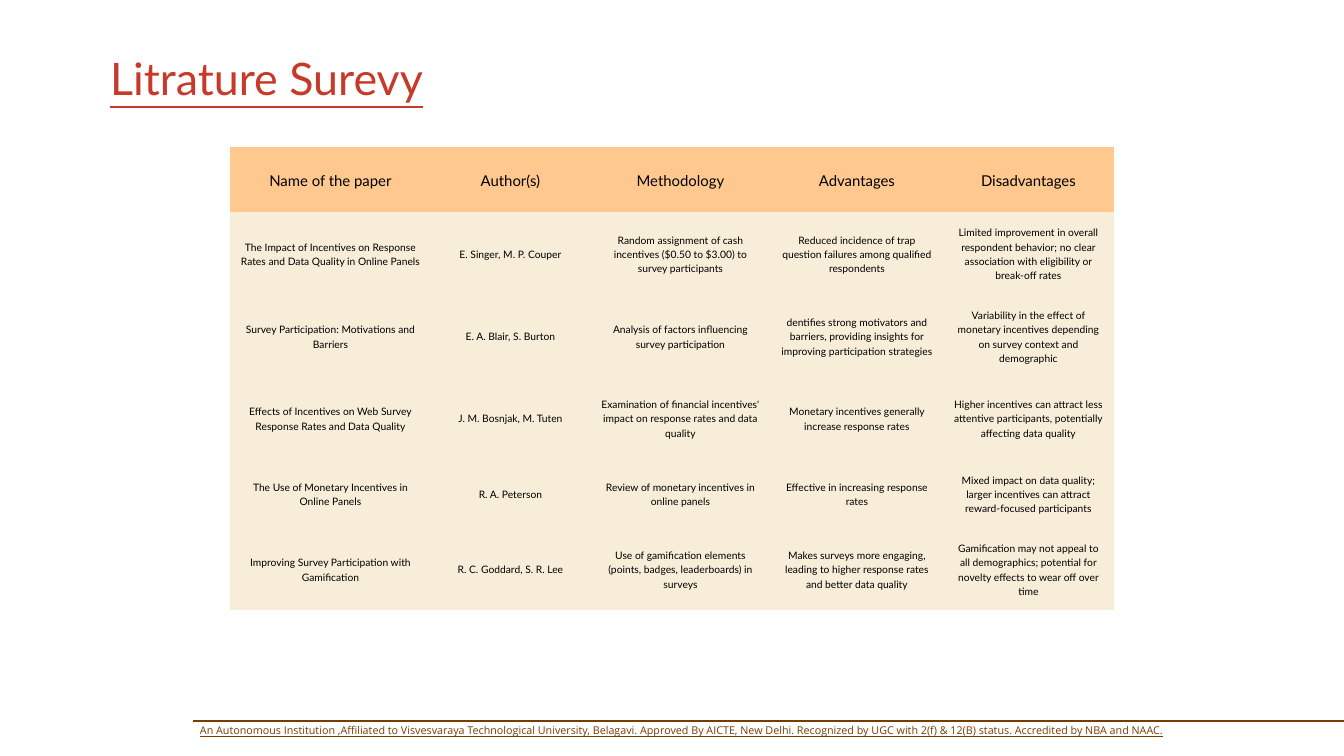
from pptx import Presentation
from pptx.dml.color import RGBColor
from pptx.enum.shapes import MSO_CONNECTOR
from pptx.enum.text import MSO_ANCHOR, PP_ALIGN
from pptx.oxml.ns import qn
from pptx.util import Pt
from lxml.etree import SubElement

BLACK = RGBColor(0x00, 0x00, 0x00)
RED = RGBColor(0xC7, 0x39, 0x28)
BROWN = RGBColor(0x76, 0x3C, 0x00)
PEACH = RGBColor(0xFF, 0xC8, 0x8F)
CREAM = RGBColor(0xF7, 0xED, 0xD8)
PLAIN = "{2D5ABB26-0587-4C30-8999-92F81FD0307C}"
SCALE = 914400 / 67.2

ROWS = [
    ("Name of the paper", "Author(s)", "Methodology", "Advantages", "Disadvantages"),
    ("The Impact of Incentives on Response Rates and Data Quality in Online Panels",
     "E. Singer, M. P. Couper",
     "Random assignment of cash incentives ($0.50 to $3.00) to survey participants",
     "Reduced incidence of trap question failures among qualified respondents",
     "Limited improvement in overall respondent behavior; no clear association with "
     "eligibility or break-off rates"),
    ("Survey Participation: Motivations and Barriers",
     "E. A. Blair, S. Burton",
     "Analysis of factors influencing survey participation",
     "dentifies strong motivators and barriers, providing insights for improving "
     "participation strategies",
     "Variability in the effect of monetary incentives depending on survey context "
     "and demographic"),
    ("Effects of Incentives on Web Survey Response Rates and Data Quality",
     "J. M. Bosnjak, M. Tuten",
     "Examination of financial incentives' impact on response rates and data quality",
     "Monetary incentives generally increase response rates",
     "Higher incentives can attract less attentive participants, potentially affecting "
     "data quality"),
    ("The Use of Monetary Incentives in Online Panels",
     "R. A. Peterson",
     "Review of monetary incentives in online panels",
     "Effective in increasing response rates",
     "Mixed impact on data quality; larger incentives can attract reward-focused "
     "participants"),
    ("Improving Survey Participation with Gamification",
     "R. C. Goddard, S. R. Lee",
     "Use of gamification elements (points, badges, leaderboards) in surveys",
     "Makes surveys more engaging, leading to higher response rates and better data quality",
     "Gamification may not appeal to all demographics; potential for novelty effects to "
     "wear off over time"),
]
WIDTHS = (201, 159, 181, 172, 171)
HEIGHTS = (65, 83, 82, 82, 69, 82)
TITLE = "Litrature Surevy"
FOOTER = (
    "An Autonomous Institution ,Affiliated to Visvesvaraya Technological University, "
    "Belagavi. Approved By AICTE, New Delhi. Recognized by UGC with 2(f) & 12(B) status. "
    "Accredited by NBA and NAAC."
)

HEAD = dict(name="Lato", size=Pt(16))
BODY = dict(name="Lato", size=Pt(11))
BIG = dict(name="Lato", size=Pt(48), underline=True)
SMALL = dict(name="Open Sans", size=Pt(11.5), underline=True)
CENTER = dict(alignment=PP_ALIGN.CENTER)
SIDES = ("margin_left", "margin_top", "margin_right", "margin_bottom")


def px(num):
    """Turn pixels into EMU."""
    return round(num * SCALE)


def apply(obj, vals):
    """Set each value as an attribute."""
    for key, val in vals.items():
        setattr(obj, key, val)


def write(frame, text, font, color, para):
    """Put one formatted paragraph in a text frame."""
    line = frame.paragraphs[0]
    apply(line, para)
    run = line.add_run()
    run.text = text
    apply(run.font, font)
    run.font.color.rgb = color


def add_text(slide, box, text, font, color, para):
    """Add a text box without margins."""
    frame = slide.shapes.add_textbox(*map(px, box)).text_frame
    apply(frame, dict.fromkeys(SIDES, 0) | dict(word_wrap=True))
    write(frame, text, font, color, para)


def add_grid(slide, left, top):
    """Add the table of papers."""
    box = (left, top, sum(WIDTHS), sum(HEIGHTS))
    table = slide.shapes.add_table(len(ROWS), len(WIDTHS), *map(px, box)).table
    apply(table, dict(first_row=False, horz_banding=False))
    table._tbl.tblPr.find(qn("a:tableStyleId")).text = PLAIN
    for col, wide in zip(table.columns, WIDTHS):
        col.width = px(wide)
    for i, (row, high, texts) in enumerate(zip(table.rows, HEIGHTS, ROWS)):
        row.height = px(high)
        font, fill, gap = (BODY, CREAM, 15.4) if i else (HEAD, PEACH, 22.4)
        for cell, text in zip(row.cells, texts):
            apply(cell, dict.fromkeys(SIDES, px(10)))
            cell.vertical_anchor = MSO_ANCHOR.MIDDLE
            cell.fill.solid()
            cell.fill.fore_color.rgb = fill
            write(cell.text_frame, text, font, BLACK, CENTER | dict(line_spacing=Pt(gap)))


def add_rule(slide, start, end, y):
    """Add the footer line."""
    rule = slide.shapes.add_connector(MSO_CONNECTOR.STRAIGHT, *map(px, (start, y, end, y)))
    rule.line.color.rgb = BROWN
    rule.line.width = Pt(3)
    SubElement(rule._element.spPr, qn("a:effectLst"))


def main():
    """Build and save the slide."""
    deck = Presentation()
    apply(deck, dict(slide_width=px(1344), slide_height=px(756)))
    slide = deck.slides.add_slide(deck.slide_layouts[6])
    add_grid(slide, 230, 147)
    add_rule(slide, 193, 1344, 721)
    add_text(slide, (200, 722, 1126, 14), FOOTER, SMALL, BROWN,
             dict(alignment=PP_ALIGN.JUSTIFY, line_spacing=Pt(16.1)))
    add_text(slide, (51, 42, 431, 60), TITLE, BIG, RED, CENTER | dict(line_spacing=Pt(67.2)))
    deck.save("out.pptx")


if __name__ == "__main__":
    main()
